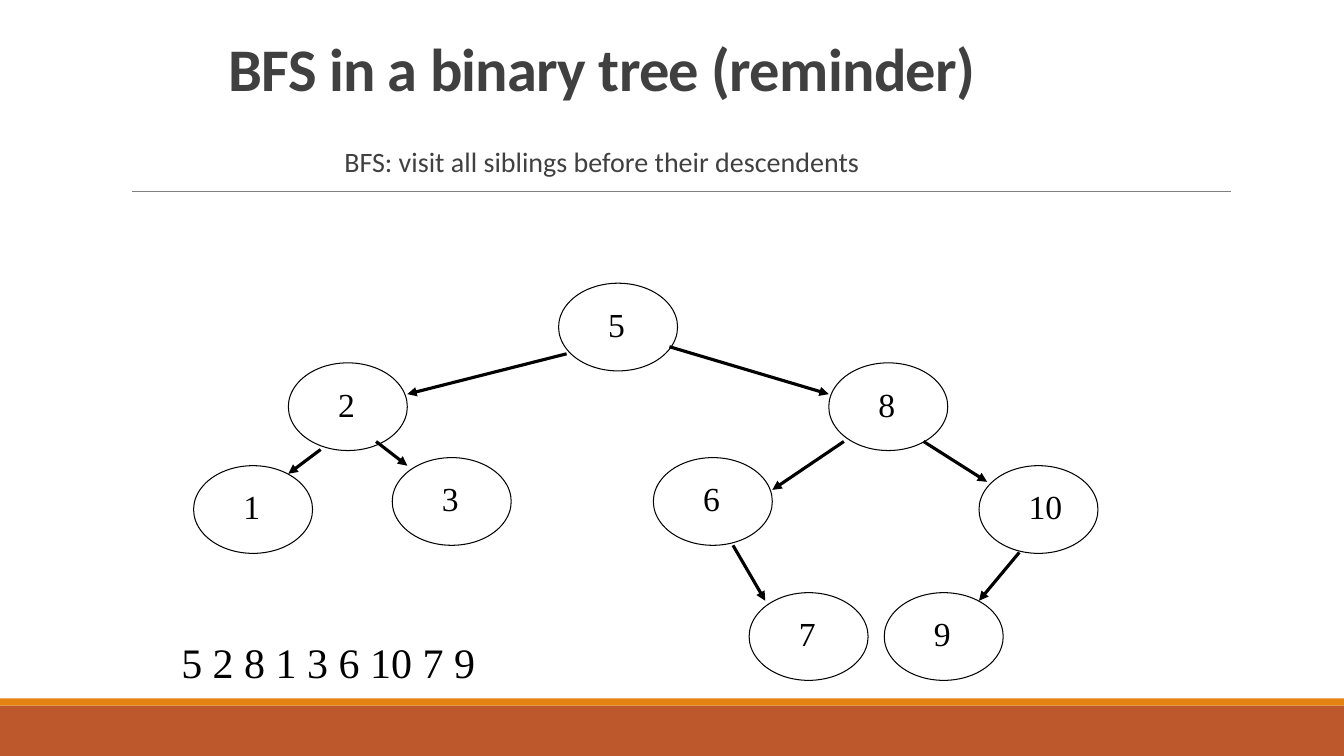
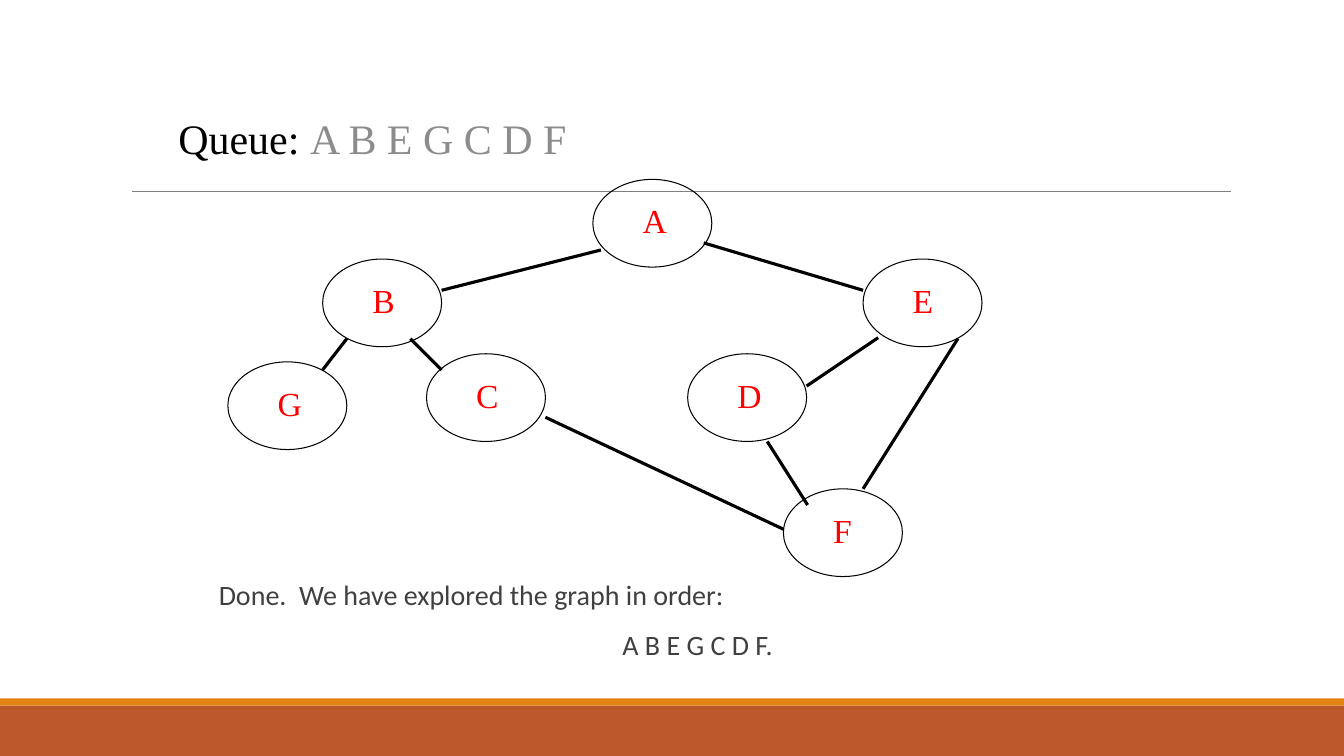
import pptx
import pptx.util
import pptx.dml.color
import pptx.enum.shapes
import pptx.enum.text
import pptx.oxml.ns
import lxml.etree

Inches, Pt = pptx.util.Inches, pptx.util.Pt
ALIGN, ANCHOR = pptx.enum.text.PP_ALIGN, pptx.enum.text.MSO_ANCHOR
PRESET = pptx.enum.shapes.MSO_SHAPE

BLACK, RED, GREY, DARK = "000000", "FF0000", "8C8C8C", "404040"
SANS, SERIF = "Calibri", "Times New Roman"

SLIDE_SIZE = (13.33, 7.5)
BANDS = [(7, 0.5, "BD582C"), (6.93, 0.07, "E48312")]  # top, height, colour
RULE = ((1.31, 1.9), (12.21, 1.9))

NODE_SIZE = (1.18, 0.87)
# Places of nodes and edge ends are measured from the root's top left corner.
PLACES = {
    "root": (0, 0),
    "left": (-2.68, 0.79),
    "right": (2.68, 0.79),
    "left left": (-3.62, 1.81),
    "left right": (-1.65, 1.73),
    "right left": (0.94, 1.73),
    "right right": (4.17, 1.81),
    "bottom left": (1.89, 3.07),
    "bottom right": (3.23, 3.07),
}
SHARED_EDGES = [
    ((0.08, 0.7), (-1.5, 1.1)),
    ((1.1, 0.63), (2.68, 1.1)),
    ((2.83, 1.57), (2.12, 2.05)),
]

TREE = {
    "origin": (5.54, 2.81),
    "colour": BLACK,
    "arrows": True,
    "nodes": {"root": "5", "left": "2", "left left": "1", "left right": "3",
              "right": "8", "right left": "6", "right right": "10",
              "bottom left": "7", "bottom right": "9"},
    "edges": [
        ((3.62, 1.57), (4.25, 1.97)),
        ((1.73, 2.6), (2.05, 3.15)),
        ((4.57, 2.67), (4.17, 3.15)),
        ((-1.81, 1.57), (-1.5, 1.81)),
        ((-2.36, 1.65), (-2.68, 1.89)),
    ],
}
GRAPH = {
    "origin": (5.88, 1.78),
    "colour": RED,
    "arrows": False,
    "nodes": {"root": "A", "left": "B", "left left": "G", "left right": "C",
              "right": "E", "right left": "D", "bottom left": "F"},
    "edges": [
        ((3.62, 1.58), (2.68, 3.07)),
        ((1.73, 2.6), (2.13, 3.23)),
        ((1.89, 3.47), (-0.47, 2.36)),
        ((-1.81, 1.58), (-1.5, 1.89)),
        ((-2.44, 1.58), (-2.68, 1.89)),
    ],
}

TITLE = "BFS in a binary tree (reminder)"
RULE_OF_BFS = "BFS: visit all siblings before their descendents"
VISIT_ORDER = "5 2 8 1 3 6 10 7 9"
QUEUE = [("Queue: ", BLACK), ("A B E G C D F", GREY)]
CONCLUSION = [("Done.  We have explored the graph in order:", ALIGN.LEFT),
              ("A B E G C D F.", ALIGN.CENTER)]


def rgb(colour):
    return pptx.dml.color.RGBColor.from_string(colour)


def set_font(font, name, size, colour, bold=False):
    font.name, font.size, font.bold = name, Pt(size), bold
    font.color.rgb = rgb(colour)


def add_preset(slide, preset, left, top, width, height):
    shape = slide.shapes.add_shape(preset, *map(Inches, (left, top, width, height)))
    shape.shadow.inherit = False
    return shape


def add_line(slide, start, end, colour, weight, arrow=False):
    line = slide.shapes.add_connector(
        pptx.enum.shapes.MSO_CONNECTOR.STRAIGHT, *map(Inches, (*start, *end)))
    line.line.color.rgb = rgb(colour)
    line.line.width = Pt(weight)
    if arrow:
        lxml.etree.SubElement(line.line._get_or_add_ln(),
                              pptx.oxml.ns.qn("a:tailEnd"), type="triangle")
    lxml.etree.SubElement(line._element.spPr, pptx.oxml.ns.qn("a:effectLst"))


def add_text_frame(slide, left, top, width, height, side_inset=0.1):
    frame = slide.shapes.add_textbox(*map(Inches, (left, top, width, height))).text_frame
    frame.word_wrap = True
    frame.margin_left = frame.margin_right = Inches(side_inset)
    return frame


def add_title(slide, text):
    frame = add_text_frame(slide, 2.17, 0.35, 7.92, 0.73)
    frame.vertical_anchor = ANCHOR.BOTTOM
    title = frame.paragraphs[0]
    run = title.add_run()
    run.text = text
    title.line_spacing = 0.85
    set_font(run.font, SANS, 43.2, DARK, bold=True)
    run._r.get_or_add_rPr().set("spc", "-50")


def add_body(slide, box, lines):
    frame = add_text_frame(slide, *box, side_inset=0)
    for index, (text, alignment) in enumerate(lines):
        paragraph = frame.add_paragraph() if index else frame.paragraphs[0]
        paragraph.text = text
        paragraph.alignment = alignment
        paragraph.line_spacing = 0.9
        paragraph.space_before = Pt(12 if index else 0)
        paragraph.space_after = Pt(2)
        set_font(paragraph.font, SANS, 20, DARK)


def add_sequence(slide, box, parts):
    """Write one large serif line from (text, colour) parts."""
    paragraph = add_text_frame(slide, *box).paragraphs[0]
    for text, colour in parts:
        run = paragraph.add_run()
        run.text = text
        set_font(run.font, SERIF, 30, colour)


def add_node(slide, left, top, label, colour):
    node = add_preset(slide, PRESET.OVAL, left, top, *NODE_SIZE)
    node.fill.background()
    node.line.color.rgb = rgb(BLACK)
    node.line.width = Pt(0.75)
    frame = node.text_frame
    frame.word_wrap = True
    frame.vertical_anchor = ANCHOR.MIDDLE
    frame.margin_left, frame.margin_bottom = Inches(0.32), Inches(0.06)
    frame.margin_right = frame.margin_top = 0
    paragraph = frame.paragraphs[0]
    paragraph.text = label
    paragraph.alignment = ALIGN.LEFT
    set_font(paragraph.font, SERIF, 24, colour)


def add_network(slide, network):
    def place(offset):
        return tuple(base + step for base, step in zip(network["origin"], offset))

    for name, label in network["nodes"].items():
        add_node(slide, *place(PLACES[name]), label, network["colour"])
    for start, end in SHARED_EDGES + network["edges"]:
        add_line(slide, place(start), place(end), BLACK, 2.25, network["arrows"])


def add_base_slide(deck):
    """Add a blank slide with the bottom bands and the thin rule."""
    slide = deck.slides.add_slide(deck.slide_layouts[6])
    for top, height, colour in BANDS:
        band = add_preset(slide, PRESET.RECTANGLE, 0, top, SLIDE_SIZE[0], height)
        band.fill.solid()
        band.fill.fore_color.rgb = rgb(colour)
        band.line.fill.background()
    add_line(slide, *RULE, "808080", 0.5)
    return slide


def main():
    deck = pptx.Presentation()
    deck.slide_width, deck.slide_height = map(Inches, SLIDE_SIZE)

    tree_slide = add_base_slide(deck)
    add_title(tree_slide, TITLE)
    add_body(tree_slide, (1.86, 1.42, 8.22, 0.45), [(RULE_OF_BFS, ALIGN.CENTER)])
    add_network(tree_slide, TREE)
    add_sequence(tree_slide, (1.7, 6.27, 9, 0.67), [(VISIT_ORDER, BLACK)])

    graph_slide = add_base_slide(deck)
    add_body(graph_slide, (2.17, 5.72, 9.5, 1.26), CONCLUSION)
    add_network(graph_slide, GRAPH)
    add_sequence(graph_slide, (1.67, 1.07, 9, 0.99), QUEUE)

    deck.save("out.pptx")


if __name__ == "__main__":
    main()
